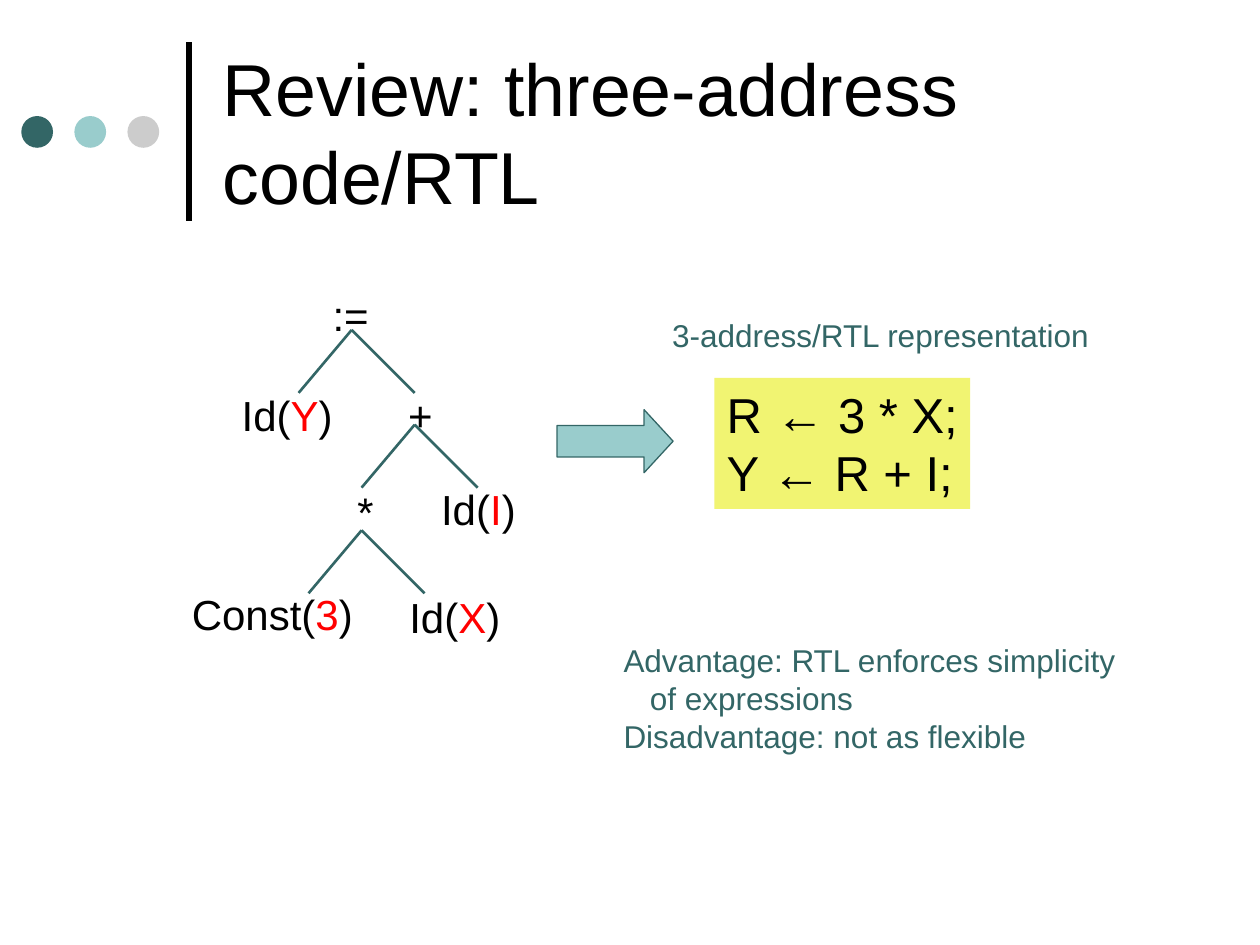
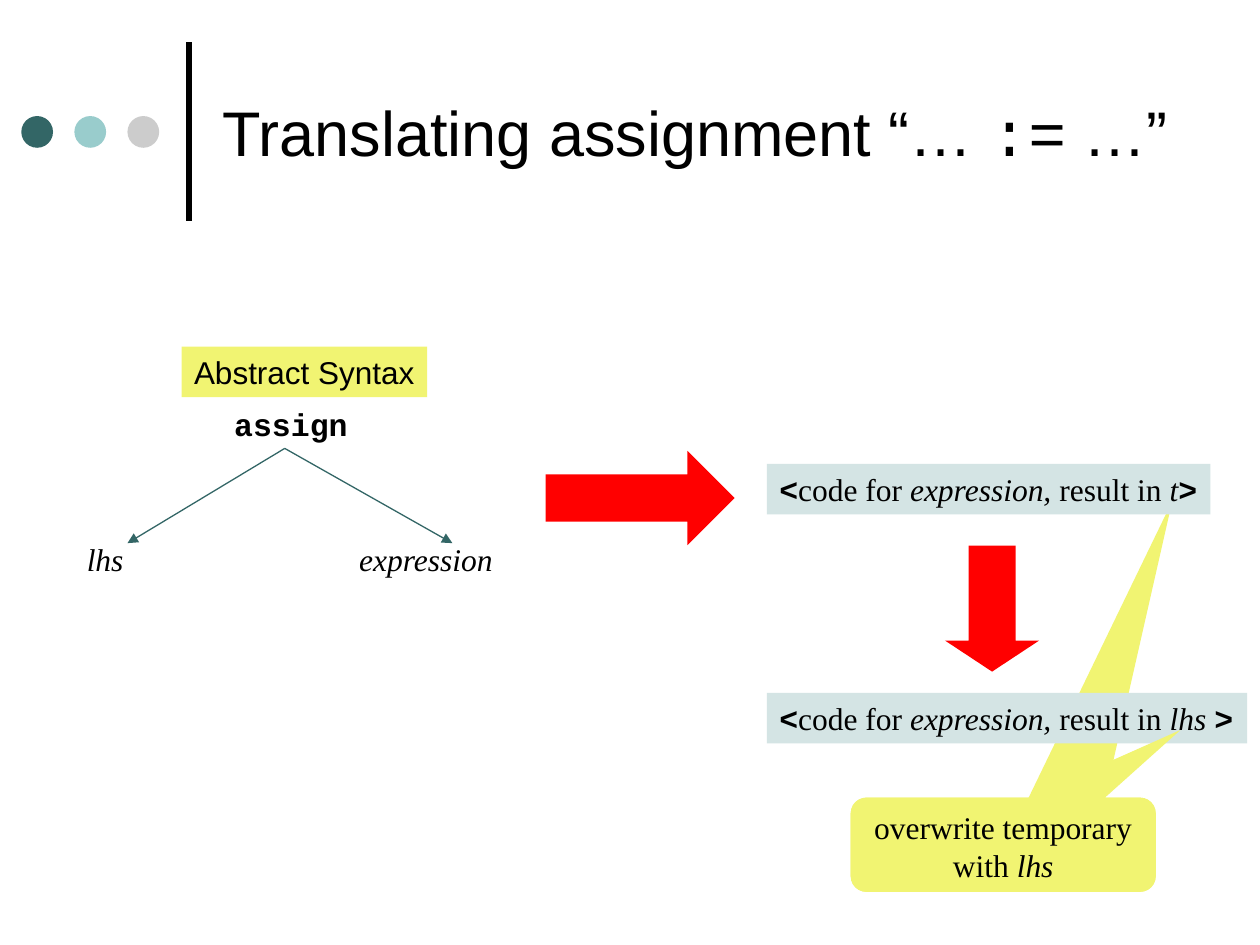
"""Build two slides on turning syntax trees into three-address code."""
import pptx
import pptx.dml.color
import pptx.enum.shapes
import pptx.enum.text
import pptx.util
from lxml import etree

Cm = pptx.util.Cm
Pt = pptx.util.Pt
hue = pptx.dml.color.RGBColor.from_string
kinds = pptx.enum.shapes.MSO_SHAPE
align = pptx.enum.text.PP_ALIGN
anchor = pptx.enum.text.MSO_ANCHOR

INK, TEAL, AQUA, GREY = "000000", "336666", "99CCCC", "CCCCCC"
RED, GOLD, PALE = "FF0000", "F1F472", "D4E4E4"
SANS, SERIF, MONO = "Arial", "Times New Roman", "Courier New"


def box(slide, kind, at, fill=None, paras=(), size=18, face=SANS, ink=INK,
        mid=False, wrap=False, edge=None, adj=()):
    """Add a shape or text box; run marks: r red, c mono, b bold, i italic."""
    spot = [Cm(n) for n in at]
    if kind is None:
        shape = slide.shapes.add_textbox(*spot)
    else:
        shape = slide.shapes.add_shape(kind, *spot)
        shape.shadow.inherit = False
        shape.fill.solid()
        shape.fill.fore_color.rgb = hue(fill)
        if edge:
            shape.line.color.rgb = hue(edge)
            shape.line.width = Pt(0.75)
        else:
            shape.line.fill.background()
        for i, val in enumerate(adj):
            shape.adjustments[i] = val
    frame = shape.text_frame
    frame.word_wrap = wrap
    frame.vertical_anchor = anchor.TOP
    for i, runs in enumerate(paras):
        para = frame.add_paragraph() if i else frame.paragraphs[0]
        para.alignment = align.CENTER if mid else align.LEFT
        for text, marks in runs:
            run = para.add_run()
            run.text = text
            font = run.font
            font.size = Pt(size)
            font.name = MONO if "c" in marks else face
            font.bold = "b" in marks
            font.italic = "i" in marks
            font.color.rgb = hue(RED if "r" in marks else ink)
    return shape


def line(slide, x1, y1, x2, y2, ink=TEAL, width=1.5, head=False):
    """Add a straight line, with an arrowhead at its end if asked."""
    link = slide.shapes.add_connector(
        pptx.enum.shapes.MSO_CONNECTOR.STRAIGHT, Cm(x1), Cm(y1), Cm(x2), Cm(y2))
    link.line.color.rgb = hue(ink)
    link.line.width = Pt(width)
    props = link._element.spPr
    if head:
        tip = etree.SubElement(link.line._get_or_add_ln(), pptx.oxml.ns.qn("a:tailEnd"))
        tip.set("type", "triangle")
    etree.SubElement(props, pptx.oxml.ns.qn("a:effectLst"))


deck = pptx.Presentation()
deck.slide_width, deck.slide_height = Cm(25.4), Cm(19.05)

heads = [
    (19.48, 42, [("Review: three-address code/RTL", "")]),
    (20.12, 36, [("Translating assignment “… ", ""), (":=", "c"), (" …”", "")]),
]
pages = []
for wide, size, runs in heads:
    page = deck.slides.add_slide(deck.slide_layouts[6])
    line(page, 3.81, 4.45, 3.81, 0.84, INK, 3)
    for i, tint in enumerate((TEAL, AQUA, GREY)):
        box(page, kinds.OVAL, (0.43 + 1.07 * i, 2.34, 0.64, 0.64), tint)
    title = box(page, None, (4.24, 0.53, wide, 4.24), paras=[runs], size=size, wrap=True)
    title.text_frame.vertical_anchor = anchor.MIDDLE
    pages.append(page)
tree, code = pages

nodes = [
    (6.45, 5.72, 1.24, [(":=", "")]),
    (4.62, 7.72, 2.34, [("Id(", ""), ("Y", "r"), (")", "")]),
    (7.98, 7.72, 0.99, [("+", "")]),
    (6.86, 9.7, 1.02, [("*", "c")]),
    (8.64, 9.63, 2.01, [("Id(", ""), ("I", "r"), (")", "")]),
    (3.61, 11.73, 3.76, [("Const(", ""), ("3", "r"), (")", "")]),
    (8, 11.79, 2.34, [("Id(", ""), ("X", "r"), (")", "")]),
]
for x, y, wide, runs in nodes:
    box(tree, None, (x, y, wide, 1.27), paras=[runs], size=24, mid=True)
for x, y in ((7.09, 6.65), (8.36, 8.56), (7.29, 10.69)):
    for step in (-1.07, 1.27):
        line(tree, x, y, x + step, y + 1.27)

box(tree, kinds.RECTANGLE, (14.4, 7.62, 5.16, 2.64), GOLD,
    [[("R ← 3 * X;", "")], [("Y ← R + I;", "")]], 28)
notes = box(tree, None, (12.32, 12.8, 10.46, 2.54), ink=TEAL, paras=[
    [("Advantage: RTL enforces simplicity", "")],
    [("of expressions", "")],
    [("Disadvantage: not as flexible", "")]])
notes.text_frame.paragraphs[1]._p.get_or_add_pPr().set("marL", str(Cm(0.53)))
box(tree, kinds.RIGHT_ARROW, (11.23, 8.26, 2.34, 1.27), AQUA, edge=TEAL, adj=(0.5, 0.46))
box(tree, None, (13.28, 6.25, 8.94, 1.02), ink=TEAL, mid=True,
    paras=[[("3-address/RTL representation", "")]])

bubble = (17.15, 16.08, 6.15, 1.9)
box(code, kinds.ROUNDED_RECTANGULAR_CALLOUT, bubble, GOLD, adj=(0.554, -3.646, 0.167))
box(code, kinds.RECTANGLE, (3.66, 6.99, 4.95, 1.02), GOLD,
    [[("Abstract Syntax", "")]], mid=True)
box(code, None, (4.47, 8.05, 2.79, 1.02), paras=[[("assign", "cb")]], mid=True)
leaves = box(code, None, (1.5, 10.77, 8.71, 1.02), face=SERIF,
             paras=[[("lhs\texpression", "i")]])
props = leaves.text_frame.paragraphs[0]._p.get_or_add_pPr()
tabs = etree.SubElement(props, pptx.oxml.ns.qn("a:tabLst"))
etree.SubElement(tabs, pptx.oxml.ns.qn("a:tab"), pos=str(Cm(5.49)), algn="l")
for x in (2.57, 9.12):
    line(code, 5.74, 9.04, x, 10.95, width=0.75, head=True)

box(code, kinds.RIGHT_ARROW, (11, 9.09, 3.81, 1.9), RED, adj=(0.5, 0.5))
box(code, kinds.DOWN_ARROW, (19.05, 11, 1.9, 2.54), RED, adj=(0.5, 0.33))
for y, wide, goal in ((9.35, 8.94, " t"), (13.97, 9.68, " lhs ")):
    box(code, kinds.RECTANGLE, (15.46, y, wide, 1.02), PALE, face=SERIF, paras=[[
        ("<", "cb"), ("code for", ""), (" expression, ", "i"),
        ("result in", ""), (goal, "i"), (">", "cb")]])
box(code, kinds.ROUNDED_RECTANGULAR_CALLOUT, bubble, GOLD,
    [[("overwrite temporary with ", ""), ("lhs", "i")]],
    face=SERIF, mid=True, wrap=True, adj=(0.581, -1.218, 0.167))

deck.save("out.pptx")
